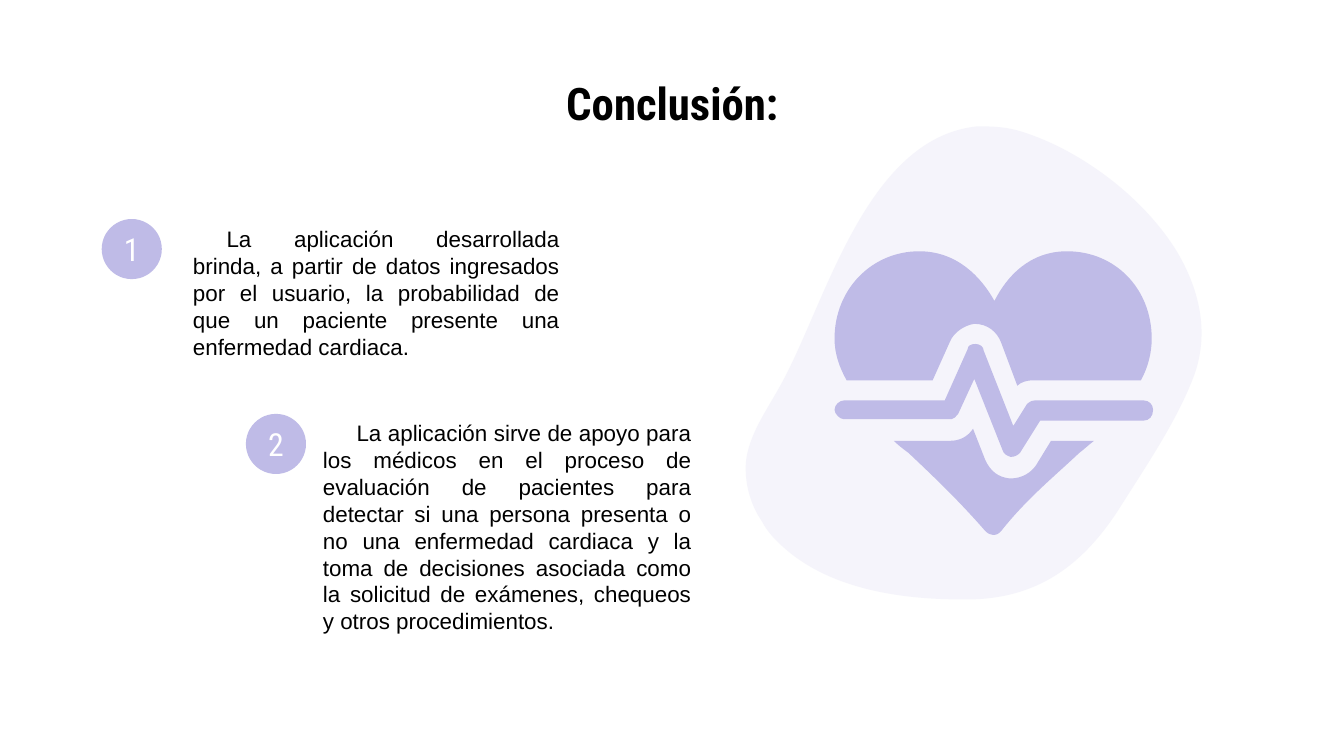
from lxml import etree
from pptx import Presentation
from pptx.dml.color import RGBColor
from pptx.enum.shapes import MSO_SHAPE
from pptx.enum.text import MSO_ANCHOR, MSO_AUTO_SIZE, PP_ALIGN
from pptx.oxml.ns import qn
from pptx.util import Pt

TITLE_ONLY = 5
OVAL = MSO_SHAPE.OVAL
TOP, MIDDLE = MSO_ANCHOR.TOP, MSO_ANCHOR.MIDDLE
CENTER, JUSTIFY = PP_ALIGN.CENTER, PP_ALIGN.JUSTIFY
COLORS = {"text": "000000", "accent": "BFBBE7", "light": "FFFFFF"}
HEADING, BODY = "Roboto Condensed", "Arial"
GRID = Pt(0.72)

BLOB = [
    (875, 186),
    (892, 214, 900, 246, 889, 278), (877, 311, 854, 345, 835, 375),
    (807, 420, 772, 447, 716, 446), (672, 446, 620, 439, 585, 409),
    (578, 403, 571, 396, 567, 388), (558, 375, 554, 359, 555, 344),
    (557, 324, 570, 306, 580, 288), (614, 228, 643, 103, 727, 94),
    (736, 94, 746, 94, 757, 97), (799, 109, 848, 143, 875, 186),
]
PULSE = [
    (726, 256),
    (723, 256, 720, 257, 720, 260), (703, 298), (628, 298),
    (625, 298, 621, 301, 621, 305), (621, 308, 625, 312, 628, 312),
    (708, 312), (710, 312, 711, 310, 713, 308), (725, 282), (746, 335),
    (747, 338, 749, 339, 752, 340), (755, 340, 757, 339, 759, 337),
    (774, 313), (851, 313), (855, 313, 858, 310, 858, 305),
    (858, 301, 855, 298, 851, 298), (770, 298),
    (767, 298, 765, 300, 764, 301), (754, 317), (732, 261),
    (732, 258, 729, 256, 726, 256),
]
HEART_TOP = [
    (684, 187),
    (649, 187, 621, 215, 621, 252), (621, 264, 625, 274, 630, 283),
    (694, 283), (707, 254), (710, 247, 718, 242, 725, 241),
    (735, 241, 742, 247, 745, 255), (757, 287),
    (760, 284, 765, 283, 769, 283), (849, 283),
    (854, 274, 857, 263, 857, 252), (857, 215, 830, 187, 794, 187),
    (766, 187, 749, 206, 740, 224), (730, 206, 712, 187, 684, 187),
]
HEART_TIP = [
    (724, 319),
    (720, 325, 714, 328, 707, 328), (665, 328),
    (668, 331, 672, 334, 676, 337), (694, 354, 713, 372, 733, 395),
    (735, 397, 737, 398, 739, 398), (742, 398, 743, 397, 745, 395),
    (764, 371, 785, 354, 803, 337), (807, 334, 810, 331, 814, 328),
    (782, 328), (771, 346), (767, 352, 760, 356, 752, 356),
    (751, 356), (743, 355, 737, 351, 733, 342), (724, 319),
]
CONCLUSIONS = [
    (54.5, (78.3, 117.36, 228.7, 78.48),
     "La aplicación desarrollada brinda, a partir de datos ingresados por el "
     "usuario, la probabilidad de que un paciente presente una enfermedad cardiaca."),
    (131.76, (147.9, 221.76, 229.68, 120.96),
     "La aplicación sirve de apoyo para los médicos en el proceso de evaluación "
     "de pacientes para detectar si una persona presenta o no una enfermedad "
     "cardiaca y la toma de decisiones asociada como la solicitud de exámenes, "
     "chequeos y otros procedimientos."),
]


def rgb(name):
    return RGBColor.from_string(COLORS[name])


def place(sp, left, top, width, height):
    sp.left, sp.top, sp.width, sp.height = map(Pt, (left, top, width, height))


def write(sp, text, font, size, color, align, anchor=MIDDLE, side=7.2, bold=False):
    tf = sp.text_frame
    tf.word_wrap = True
    tf.auto_size = MSO_AUTO_SIZE.NONE
    tf.vertical_anchor = anchor
    tf.margin_left = tf.margin_right = Pt(side)
    tf.margin_top = tf.margin_bottom = Pt(7.2)
    p = tf.paragraphs[0]
    p.alignment = align
    r = p.add_run()
    r.text = text
    r.font.name, r.font.size, r.font.bold = font, Pt(size), bold
    r.font.color.rgb = rgb(color)
    return p


def paint(sp, color):
    sp.shadow.inherit = False
    sp.fill.solid()
    sp.fill.fore_color.rgb = rgb(color)
    sp.line.fill.background()


def curve_segments(sp, outline, left, top):
    path = next(sp._element.iter(qn("a:path")))
    for child in list(path):
        path.remove(child)
    for i, segment in enumerate(outline):
        tag = "a:moveTo" if i == 0 else "a:lnTo" if len(segment) == 2 else "a:cubicBezTo"
        step = etree.SubElement(path, qn(tag))
        for x, y in zip(segment[::2], segment[1::2]):
            etree.SubElement(step, qn("a:pt"), x=str(x - left), y=str(y - top))
    etree.SubElement(path, qn("a:close"))


def add_outline(s, outline, opacity=100):
    ends = [segment[-2:] for segment in outline]
    builder = s.shapes.build_freeform(*ends[0], scale=GRID)
    builder.add_line_segments(ends[1:], close=True)
    sp = builder.convert_to_shape()
    curve_segments(sp, outline, min(x for x, y in ends), min(y for x, y in ends))
    paint(sp, "accent")
    if opacity < 100:
        color = next(sp._element.spPr.iter(qn("a:srgbClr")))
        etree.SubElement(color, qn("a:alpha"), val=str(opacity * 1000))


def add_title(s, text):
    sp = s.shapes.title
    place(sp, 14.2, 33.12, 691.92, 45.36)
    write(sp, text, HEADING, 24, "text", CENTER, anchor=TOP, bold=True)


def add_paragraph_box(s, box, text):
    sp = s.shapes.add_textbox(0, 0, 0, 0)
    place(sp, *box)
    p = write(sp, text, BODY, 12, "text", JUSTIFY)
    pPr = p._p.get_or_add_pPr()
    for name in ("marL", "indent"):
        pPr.set(name, str(Pt(18)))


def add_badge(s, left, top, number):
    sp = s.shapes.add_shape(OVAL, 0, 0, 0, 0)
    place(sp, left, top, 32.2, 32.2)
    paint(sp, "accent")
    write(sp, str(number), HEADING, 17, "light", CENTER, side=0)


def main():
    prs = Presentation()
    prs.slide_width, prs.slide_height = Pt(720), Pt(405)
    s = prs.slides.add_slide(prs.slide_layouts[TITLE_ONLY])
    add_title(s, "Conclusión:")
    add_outline(s, BLOB, opacity=15)
    for outline in (PULSE, HEART_TOP, HEART_TIP):
        add_outline(s, outline)
    for number, (badge_left, box, text) in enumerate(CONCLUSIONS, 1):
        add_paragraph_box(s, box, text)
        add_badge(s, badge_left, box[1], number)
    prs.save("out.pptx")


if __name__ == "__main__":
    main()
